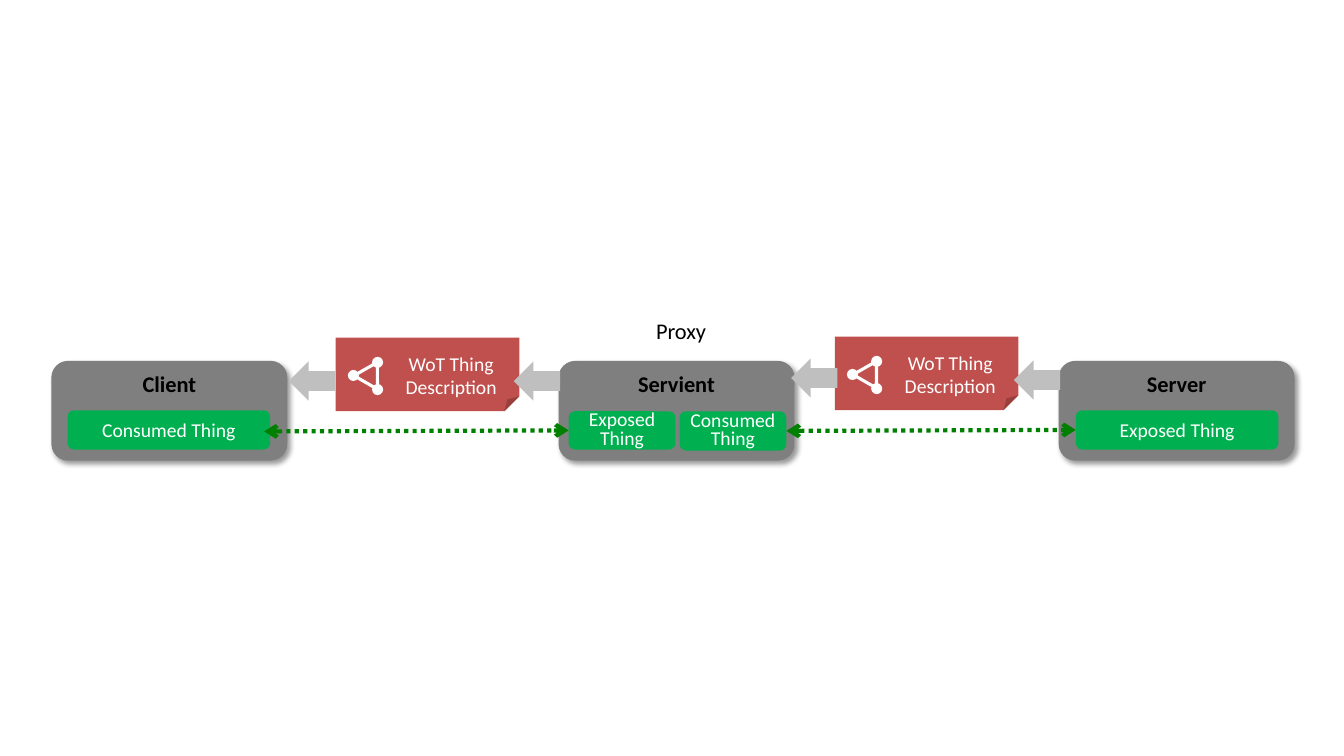
from dataclasses import dataclass

from lxml.etree import SubElement
from pptx import Presentation
from pptx.dml.color import RGBColor
from pptx.enum.dml import MSO_LINE
from pptx.enum.shapes import MSO_CONNECTOR, MSO_SHAPE
from pptx.enum.text import MSO_ANCHOR, MSO_AUTO_SIZE, PP_ALIGN
from pptx.oxml.ns import qn
from pptx.shapes.autoshape import Shape
from pptx.shapes.shapetree import GroupShapes, SlideShapes
from pptx.util import Emu, Pt

EMU_PER_PX = 9144
FONT = "Calibri"
BLACK = RGBColor(0x00, 0x00, 0x00)
WHITE = RGBColor(0xFF, 0xFF, 0xFF)
PANEL_GRAY = RGBColor(0x7F, 0x7F, 0x7F)
ARROW_GRAY = RGBColor(0xBF, 0xBF, 0xBF)
THING_GREEN = RGBColor(0x00, 0xB0, 0x50)
LINK_GREEN = RGBColor(0x00, 0x80, 0x00)
NOTE_RED = RGBColor(0xC0, 0x50, 0x4D)


@dataclass(frozen=True)
class Box:
    left: int
    top: int
    width: int
    height: int


@dataclass(frozen=True)
class Panel:
    title: str
    left: int


@dataclass(frozen=True)
class Thing:
    lines: tuple[str, ...]
    box: Box
    wrap: bool


@dataclass(frozen=True)
class Dot:
    left: int
    top: int
    rotation: int


PANELS = (Panel("Client", 51), Panel("Servient", 554), Panel("Server", 1050))
CLIENT_THING = Thing(("Consumed Thing",), Box(67, 407, 201, 39), False)
PROXY_EXPOSED = Thing(("Exposed", "Thing"), Box(564, 408, 106, 38), True)
PROXY_CONSUMED = Thing(("Consumed", "Thing"), Box(674, 408, 106, 39), False)
SERVER_THING = Thing(("Exposed Thing",), Box(1067, 407, 201, 39), True)
NOTES = ((333, 335), (828, 334))
ARROWS = ((513, 355), (290, 355), (1009, 354), (788, 352))
ICON_DOTS = (Dot(36, 19, 330), Dot(12, 32, 330), Dot(36, 46, 30))


def px(length: int) -> Emu:
    return Emu(length * EMU_PER_PX)


def add_block(shapes: SlideShapes | GroupShapes, kind: MSO_SHAPE, box: Box,
              fill: RGBColor | None, rotation: int = 0) -> Shape:
    shape = shapes.add_shape(kind, px(box.left), px(box.top), px(box.width), px(box.height))
    shape.shadow.inherit = False
    shape.rotation = rotation
    shape.line.fill.background()
    if fill is None:
        shape.fill.background()
    else:
        shape.fill.solid()
        shape.fill.fore_color.rgb = fill
    return shape


def write(shape: Shape, lines: tuple[str, ...], size: int, color: RGBColor,
          bold: bool = False, wrap: bool = False) -> None:
    frame = shape.text_frame
    frame.word_wrap = wrap
    for index, line in enumerate(lines):
        paragraph = frame.add_paragraph() if index else frame.paragraphs[0]
        paragraph.text = line
        paragraph.alignment = PP_ALIGN.CENTER
        if len(lines) > 1:
            paragraph.line_spacing = 0.8
        paragraph.font.name = FONT
        paragraph.font.size = Pt(size)
        paragraph.font.bold = bold
        paragraph.font.color.rgb = color


def set_insets(shape: Shape, left: int, top: int, right: int, bottom: int) -> None:
    frame = shape.text_frame
    frame.margin_left, frame.margin_top = px(left), px(top)
    frame.margin_right, frame.margin_bottom = px(right), px(bottom)


def add_shadow(shape: Shape) -> None:
    effects = shape._element.spPr.find(qn("a:effectLst"))
    shadow = SubElement(effects, qn("a:outerShdw"), blurRad=str(Pt(4)), dist=str(Pt(3)),
                        dir="2700000", algn="tl", rotWithShape="0")
    color = SubElement(shadow, qn("a:srgbClr"), val=str(BLACK))
    SubElement(color, qn("a:alpha"), val="40000")


def add_panel(shapes: SlideShapes, panel: Panel) -> None:
    shape = add_block(shapes, MSO_SHAPE.ROUNDED_RECTANGLE, Box(panel.left, 358, 234, 99), PANEL_GRAY)
    add_shadow(shape)
    set_insets(shape, 8, 4, 8, 4)
    shape.text_frame.vertical_anchor = MSO_ANCHOR.TOP
    write(shape, (panel.title,), 16, BLACK, bold=True, wrap=True)


def add_thing(shapes: SlideShapes, thing: Thing) -> Shape:
    shape = add_block(shapes, MSO_SHAPE.ROUNDED_RECTANGLE, thing.box, THING_GREEN)
    shape.text_frame.vertical_anchor = MSO_ANCHOR.MIDDLE
    write(shape, thing.lines, 14, WHITE, wrap=thing.wrap)
    return shape


def add_note(shapes: SlideShapes, left: int, top: int) -> None:
    group = shapes.add_group_shape().shapes
    note = add_block(group, MSO_SHAPE.FOLDED_CORNER, Box(left, top, 182, 73), NOTE_RED)
    fold = note._element.spPr.find(qn("a:prstGeom")).find(qn("a:avLst"))
    SubElement(fold, qn("a:gd"), name="adj", fmla="val 20200")
    set_insets(note, 47, 16, 0, 0)
    note.text_frame.vertical_anchor = MSO_ANCHOR.MIDDLE
    write(note, ("WoT Thing\vDescription",), 14, WHITE)
    triangle = add_block(group, MSO_SHAPE.ISOSCELES_TRIANGLE,
                         Box(left + 22, top + 23, 27, 23), None, 30)
    triangle.line.color.rgb = WHITE
    triangle.line.width = Pt(2.25)
    for dot in ICON_DOTS:
        add_block(group, MSO_SHAPE.OVAL, Box(left + dot.left, top + dot.top, 11, 11),
                  WHITE, dot.rotation)


def add_link(shapes: SlideShapes, start: tuple[int, int], target: Shape,
             source: Shape | None = None) -> None:
    link = shapes.add_connector(MSO_CONNECTOR.STRAIGHT, px(start[0]), px(start[1]),
                                target.left, target.top)
    if source is not None:
        link.begin_connect(source, 3)
    link.end_connect(target, 1)
    link.line.color.rgb = LINK_GREEN
    link.line.width = Pt(3)
    link.line.dash_style = MSO_LINE.ROUND_DOT
    outline = link.line._get_or_add_ln()
    for end in ("a:headEnd", "a:tailEnd"):
        SubElement(outline, qn(end), type="arrow")
    SubElement(link._element.spPr, qn("a:effectLst"))


def add_caption(shapes: SlideShapes) -> None:
    caption = shapes.add_textbox(px(640), px(310), px(71), px(37))
    caption.text_frame.auto_size = MSO_AUTO_SIZE.SHAPE_TO_FIT_TEXT
    write(caption, ("Proxy",), 16, BLACK)


def main() -> None:
    presentation = Presentation()
    presentation.slide_width, presentation.slide_height = px(1333), px(750)
    shapes = presentation.slides.add_slide(presentation.slide_layouts[6]).shapes
    for panel in PANELS:
        add_panel(shapes, panel)
    add_thing(shapes, CLIENT_THING)
    proxy_exposed = add_thing(shapes, PROXY_EXPOSED)
    proxy_consumed = add_thing(shapes, PROXY_CONSUMED)
    server_thing = add_thing(shapes, SERVER_THING)
    for left, top in NOTES:
        add_note(shapes, left, top)
    for left, top in ARROWS:
        add_block(shapes, MSO_SHAPE.DOWN_ARROW, Box(left, top, 39, 46), ARROW_GRAY, 90)
    add_link(shapes, (262, 428), proxy_exposed)
    add_link(shapes, (780, 427), server_thing, proxy_consumed)
    add_caption(shapes)
    presentation.save("out.pptx")


if __name__ == "__main__":
    main()
